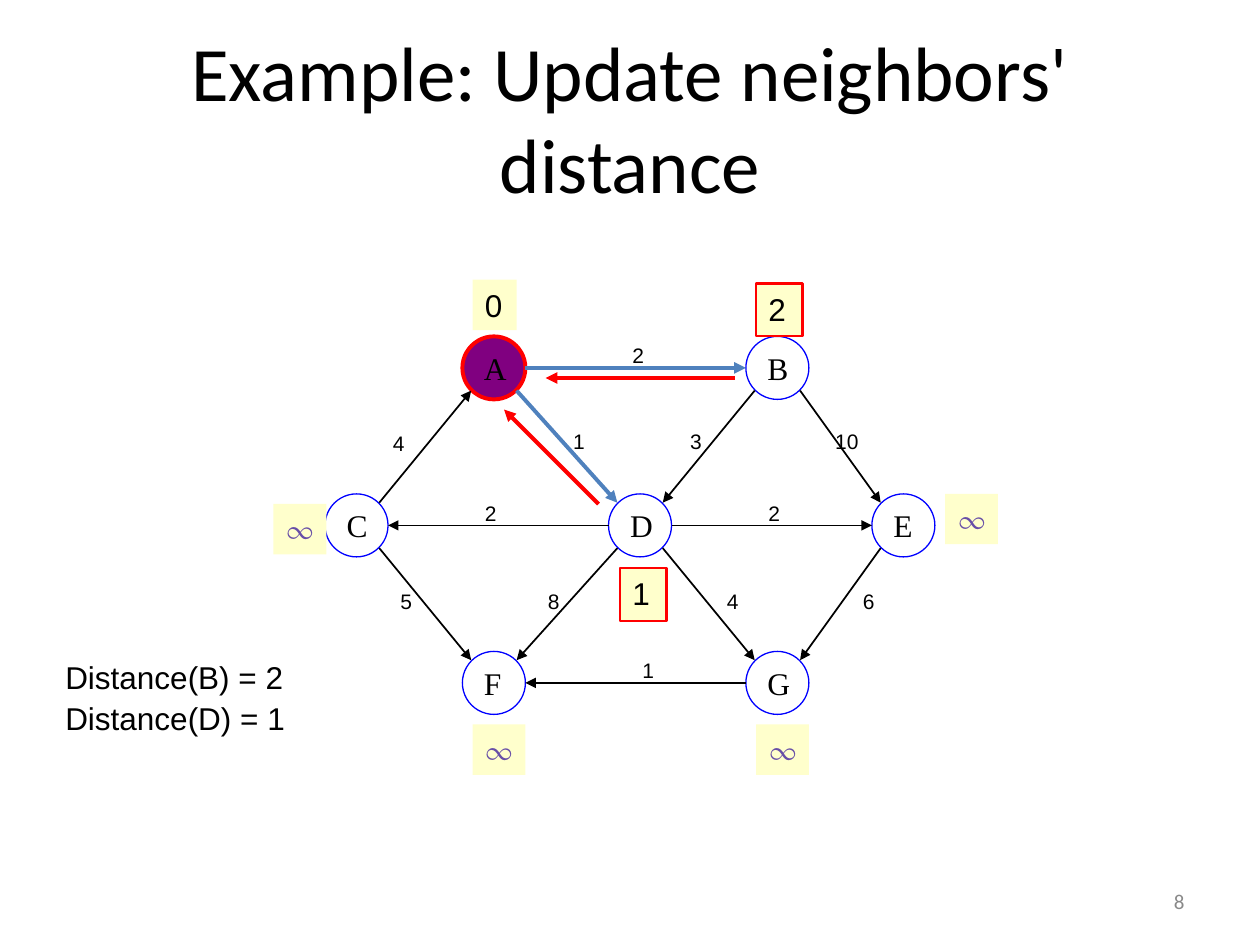
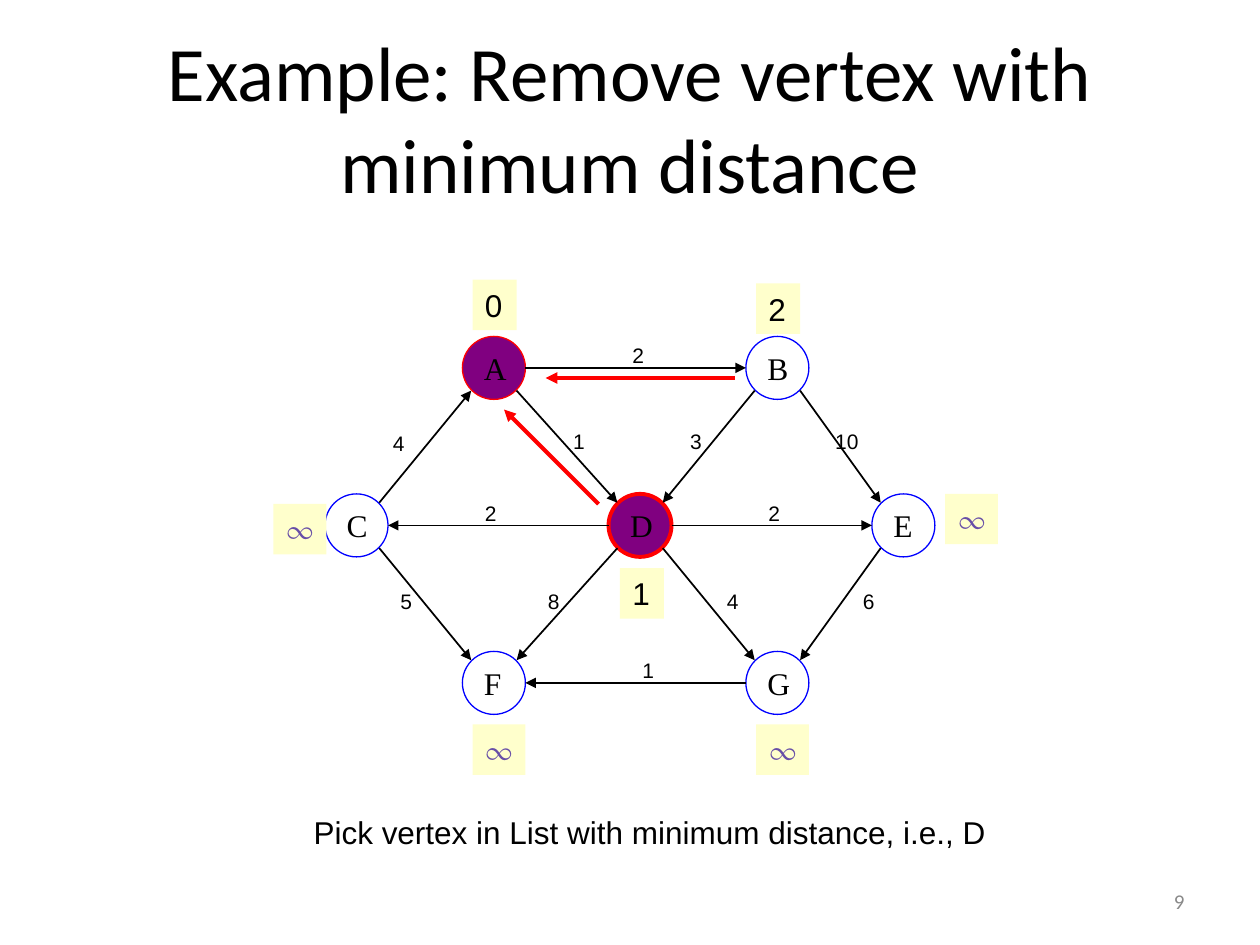
from dataclasses import dataclass

from lxml import etree
from pptx import Presentation
from pptx.dml.color import RGBColor
from pptx.enum.shapes import MSO_CONNECTOR, MSO_SHAPE
from pptx.enum.text import MSO_ANCHOR, MSO_AUTO_SIZE, PP_ALIGN
from pptx.oxml.ns import qn
from pptx.util import Emu, Pt

STRAIGHT = MSO_CONNECTOR.STRAIGHT
OVAL, RECT = MSO_SHAPE.OVAL, MSO_SHAPE.RECTANGLE
TOP, MIDDLE = MSO_ANCHOR.TOP, MSO_ANCHOR.MIDDLE
LEFT, CENTER, RIGHT = PP_ALIGN.LEFT, PP_ALIGN.CENTER, PP_ALIGN.RIGHT
GROW, FIXED = MSO_AUTO_SIZE.SHAPE_TO_FIT_TEXT, MSO_AUTO_SIZE.NONE
PX = 9144
RADIUS = 25
DIAGONAL = 18


@dataclass(frozen=True)
class Theme:
    black: str = "000000"
    grey: str = "898989"
    red: str = "FF0000"
    blue: str = "0000FF"
    active: str = "4F81BD"
    settled: str = "800080"
    note: str = "FFFFCC"
    infinity: str = "674EA7"
    heading_font: str = "Calibri"
    body_font: str = "Arial"
    vertex_font: str = "Times New Roman"
    symbol_font: str = "TeX Gyre Pagella"
    title_size: int = 44
    body_size: int = 18
    small_size: int = 12
    thin: float = 0.75
    edge: float = 1
    frame: float = 1.25
    thick: float = 2.25


VERTICES = {
    "A": (392, 292), "B": (617, 292),
    "C": (283, 417), "D": (508, 417), "E": (717, 417),
    "F": (392, 542), "G": (617, 542),
}
EDGES = {
    "AB": ("2", 492, 267), "AD": ("1", 445, 335),
    "BD": ("3", 538, 335), "BE": ("10", 653, 335),
    "CA": ("4", 302, 337), "CF": ("5", 308, 462),
    "DC": ("2", 375, 392), "DE": ("2", 600, 392),
    "DF": ("8", 425, 462), "DG": ("4", 567, 462),
    "EG": ("6", 675, 462), "GF": ("1", 500, 517),
}
DISTANCES = {
    "A": ("0", 375, 222), "B": ("2", 600, 225),
    "C": ("∞", 217, 400), "D": ("1", 492, 451), "E": ("∞", 750, 392),
    "F": ("∞", 375, 575), "G": ("∞", 600, 575),
}
BACK_POINTERS = [((475, 400), (400, 325)), ((583, 300), (433, 300))]


def edge_end(vertex, other):
    (x, y), (ox, oy) = VERTICES[vertex], VERTICES[other]
    side = 1 if ox > x else -1
    if y == oy:
        return x + side * RADIUS, y
    return x + side * DIAGONAL, y + (DIAGONAL if oy > y else -DIAGONAL)


class Deck:
    def __init__(self, theme):
        self.theme = theme
        self.prs = Presentation()
        self.prs.slide_width = Emu(1000 * PX)
        self.prs.slide_height = Emu(750 * PX)
        self.slide = None

    def new_slide(self, title, number):
        t = self.theme
        self.slide = self.prs.slides.add_slide(self.prs.slide_layouts[6])
        self.text(number, (717, 695, 233, 40), t.small_size, t.heading_font,
                  t.grey, RIGHT, MIDDLE)
        self.text(title, (50, 30, 900, 125), t.title_size, t.heading_font,
                  align=CENTER, anchor=MIDDLE)

    def set_text(self, s, text, size, font, color=None, align=LEFT, anchor=TOP,
                 wrap=True, fit=FIXED):
        tf = s.text_frame
        tf.text = text
        tf.word_wrap = wrap
        tf.auto_size = fit
        tf.vertical_anchor = anchor
        p = tf.paragraphs[0]
        p.alignment = align
        r = p.runs[0]
        r.font.size = Pt(size)
        r.font.name = font
        r.font.color.rgb = RGBColor.from_string(color or self.theme.black)

    def text(self, text, box, size, font, color=None, align=LEFT, anchor=TOP,
             wrap=True, fit=FIXED):
        s = self.slide.shapes.add_textbox(*(Emu(v * PX) for v in box))
        self.set_text(s, text, size, font, color, align, anchor, wrap, fit)

    def shape(self, kind, box, fill=None, line=None, width=0):
        s = self.slide.shapes.add_shape(kind, *(Emu(v * PX) for v in box))
        s.shadow.inherit = False
        if fill:
            s.fill.solid()
            s.fill.fore_color.rgb = RGBColor.from_string(fill)
        else:
            s.fill.background()
        if line:
            s.line.color.rgb = RGBColor.from_string(line)
            s.line.width = Pt(width)
        else:
            s.line.fill.background()
        return s

    def arrow(self, start, end, color, width):
        s = self.slide.shapes.add_connector(
            STRAIGHT, *(Emu(v * PX) for v in (*start, *end)))
        s.line.color.rgb = RGBColor.from_string(color)
        s.line.width = Pt(width)
        sp_pr = s._element.spPr
        tail = etree.SubElement(sp_pr.find(qn("a:ln")), qn("a:tailEnd"))
        tail.set("type", "triangle")
        etree.SubElement(sp_pr, qn("a:effectLst"))

    def vertex(self, name, settled, current):
        t = self.theme
        x, y = VERTICES[name]
        s = self.shape(OVAL, (x - RADIUS, y - RADIUS, 2 * RADIUS, 2 * RADIUS),
                       t.settled if settled else None,
                       t.red if settled else t.blue,
                       t.thick if current else t.thin)
        self.set_text(s, name, t.body_size, t.vertex_font, anchor=MIDDLE, wrap=False)

    def edge(self, name, active):
        t = self.theme
        source, target = name
        weight, x, y = EDGES[name]
        self.arrow(edge_end(source, target), edge_end(target, source),
                   t.active if active else t.black,
                   t.thick if active else t.edge)
        self.text(weight, (x, y, 20 + 10 * len(weight), 30), t.small_size,
                  t.body_font, anchor=MIDDLE, wrap=False, fit=GROW)

    def distance(self, name, updated):
        t = self.theme
        value, x, y = DISTANCES[name]
        endless = value == "∞"
        w, h = (42, 40) if endless else (37, 42) if updated else (35, 40)
        s = self.shape(RECT, (x, y, w, h), t.note,
                       t.red if updated else None, t.frame)
        self.set_text(s, value, t.body_size,
                      t.symbol_font if endless else t.body_font,
                      t.infinity if endless else t.black, wrap=False, fit=GROW)

    def graph(self, settled, current, active=(), updated=""):
        for name in VERTICES:
            self.vertex(name, name in settled, name == current)
        for name in EDGES:
            self.edge(name, name in active)
        for name in DISTANCES:
            self.distance(name, name in updated)
        for start, end in BACK_POINTERS:
            self.arrow(start, end, self.theme.red, self.theme.thick)

    def caption(self, text, box, wrap=True):
        t = self.theme
        self.text(text, box, t.body_size, t.body_font, wrap=wrap, fit=GROW)


def main():
    deck = Deck(Theme())

    deck.new_slide("Example: Update neighbors' distance", "8")
    deck.graph(settled="A", current="A", active=("AB", "AD"), updated="BD")
    for i, name in enumerate("BD"):
        deck.caption(f"Distance({name}) = {DISTANCES[name][0]}",
                     (42, 517 + 33 * i, 213, 86))

    deck.new_slide("Example: Remove vertex with minimum distance", "9")
    deck.graph(settled="AD", current="D")
    deck.caption("Pick vertex in List with minimum distance, i.e., D",
                 (239, 640, 559, 40), wrap=False)

    deck.prs.save("out.pptx")


if __name__ == "__main__":
    main()
